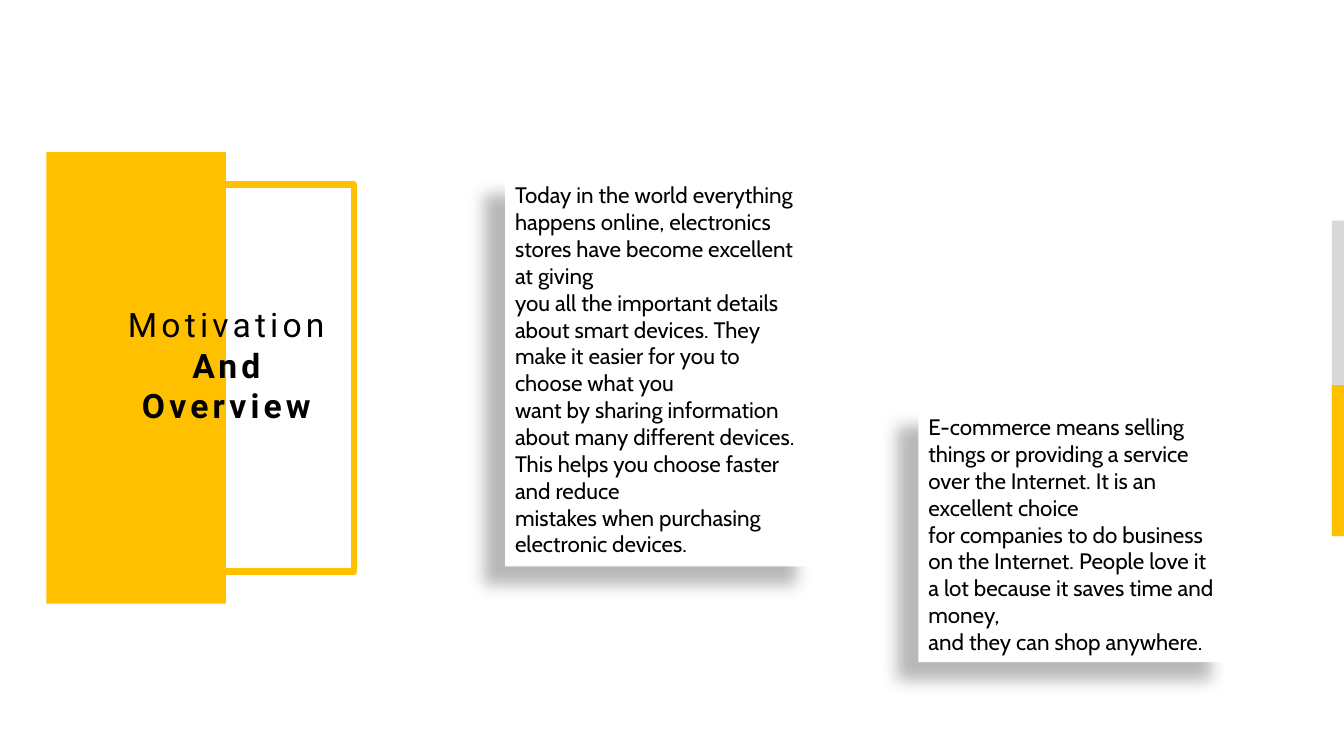
from lxml import etree
from pptx import Presentation
from pptx.dml.color import RGBColor
from pptx.enum.shapes import MSO_SHAPE as Shape
from pptx.enum.text import MSO_ANCHOR as Anchor, MSO_AUTO_SIZE as AutoSize, PP_ALIGN as Align
from pptx.oxml import parse_xml
from pptx.oxml.ns import nsdecls
from pptx.util import Inches, Pt

AMBER = RGBColor(0xFF, 0xC0, 0x00)
GREY = RGBColor(0xD9, 0xD9, 0xD9)
WHITE = RGBColor(0xFF, 0xFF, 0xFF)
BLACK = RGBColor(0x00, 0x00, 0x00)

TITLE_LINES = [("Motivation", False), ("And", True), ("Overview", True)]
MOTIVATION = [
    "Today in the world everything happens online, electronics stores have become excellent at giving",
    "you all the important details about smart devices. They make it easier for you to choose what you",
    "want by sharing information about many different devices. This helps you choose faster and reduce",
    "mistakes when purchasing electronic devices.",
]
OVERVIEW = [
    "E-commerce means selling things or providing a service over the Internet. It is an excellent choice",
    "for companies to do business on the Internet. People love it a lot because it saves time and money,",
    "and they can shop anywhere.",
]


def add_rect(parent, left, top, width, height, fill=None, line=None):
    rect = parent.shapes.add_shape(
        Shape.RECTANGLE, Inches(left), Inches(top), Inches(width), Inches(height))
    rect.shadow.inherit = False
    if fill is None:
        rect.fill.background()
    else:
        rect.fill.solid()
        rect.fill.fore_color.rgb = fill
    if line is None:
        rect.line.fill.background()
    else:
        rect.line.color.rgb = line
        rect.line.width = Pt(4.5)
    return rect


def write_lines(frame, lines, font_name, size, align, spacing=None):
    """Write (text, bold) pairs, one paragraph each."""
    frame.word_wrap = True
    frame.auto_size = AutoSize.SHAPE_TO_FIT_TEXT
    frame.vertical_anchor = Anchor.TOP
    for index, (text, bold) in enumerate(lines):
        para = frame.paragraphs[0] if index == 0 else frame.add_paragraph()
        para.alignment = align
        span = para.add_run()
        span.text = text
        span.font.name = font_name
        span.font.size = Pt(size)
        span.font.bold = bold
        span.font.color.rgb = BLACK
        if spacing:
            span.font._element.set("spc", str(spacing * 100))


def add_soft_shadow(shape):
    effects = shape._element.spPr.find("{*}effectLst")
    effects.append(parse_xml(
        f'<a:outerShdw {nsdecls("a")} blurRad="{Pt(11.8)}" dist="{Pt(19.7)}" '
        f'dir="{141 * 60000}" algn="ctr" rotWithShape="0">'
        '<a:srgbClr val="000000"><a:alpha val="28000"/></a:srgbClr></a:outerShdw>'))


def add_title_panel(page, left, top):
    # Solid block with an outlined frame reaching out to its right
    add_rect(page, left, top, 1.78, 4.48, fill=AMBER)
    add_rect(page, left + 1.19, top + 0.32, 1.86, 3.84, line=AMBER)
    # Title
    box = page.shapes.add_textbox(
        Inches(left - 0.01), Inches(top + 1.46), Inches(3.59), Inches(1.31))
    write_lines(box.text_frame, TITLE_LINES, "Roboto", 24, Align.CENTER, spacing=3)


def add_edge_marker(page, left, top, width, height):
    group = page.shapes.add_group_shape()
    amber_height = 1.5
    add_rect(group, left, top, width, height, fill=GREY)
    add_rect(group, left, top + height - amber_height, width, amber_height, fill=AMBER)


def add_card(page, left, top, width, height, paragraphs):
    card = add_rect(page, left, top, width, height, fill=WHITE)
    add_soft_shadow(card)
    lines = [(text, False) for text in paragraphs]
    write_lines(card.text_frame, lines, "Cabin", 16, Align.LEFT)


def main():
    deck = Presentation()
    deck.slide_width, deck.slide_height = Inches(13.33), Inches(7.5)
    page = deck.slides.add_slide(deck.slide_layouts[6])
    add_title_panel(page, 0.46, 1.51)
    add_edge_marker(page, 13.21, 2.19, 0.14, 3.13)
    add_card(page, 5.01, 1.75, 3.1, 3.87, MOTIVATION)
    add_card(page, 9.11, 4.05, 3.1, 2.52, OVERVIEW)
    deck.save("out.pptx")


if __name__ == "__main__":
    main()
